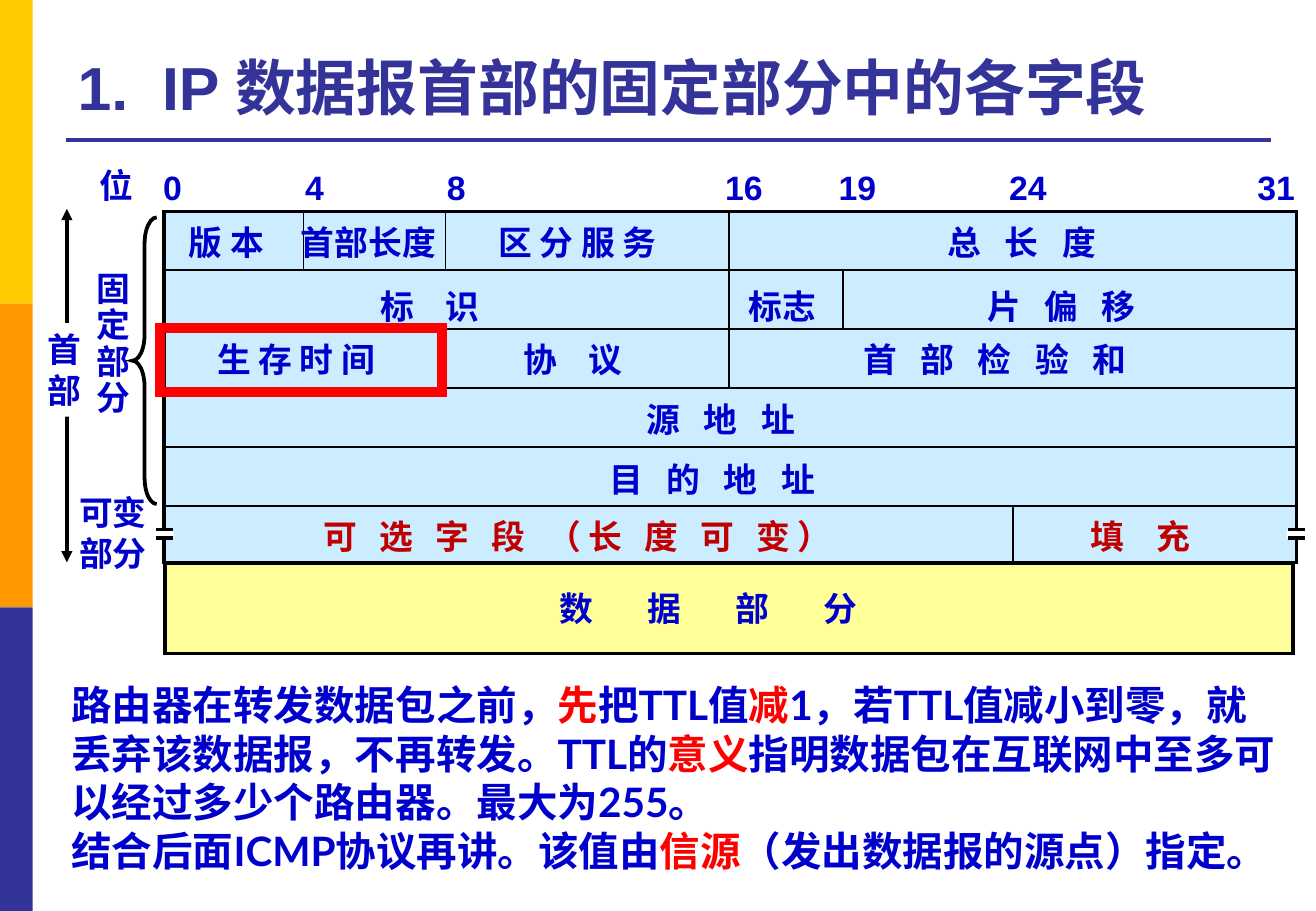
from lxml import etree
from pptx import Presentation
from pptx import util as u
from pptx.dml.color import RGBColor
from pptx.enum import shapes, text
from pptx.oxml import ns

WIDTH, HEIGHT = 10.83, 7.5
BLUE = RGBColor(0x00, 0x00, 0xCC)
NAVY = RGBColor(0x33, 0x33, 0x99)
RED = RGBColor(0xFF, 0x00, 0x00)
DARK_RED = RGBColor(0xC0, 0x00, 0x00)
GOLD = RGBColor(0xFF, 0xCC, 0x00)
ORANGE = RGBColor(0xFF, 0x99, 0x00)
SKY = RGBColor(0xCC, 0xEC, 0xFF)
YELLOW = RGBColor(0xFF, 0xFF, 0x99)
BLACK = RGBColor(0, 0, 0)
WHITE = RGBColor(0xFF, 0xFF, 0xFF)

GRID_LEFT, GRID_TOP, BIT, ROW = 1.33, 1.74, 0.292, 0.485
FLAGS_END = 19.2
LABEL_HEIGHT = 0.43

TITLE = [("1.", NAVY, 0), (" ", NAVY, 10), ("IP 数据报首部的固定部分中的各字段", NAVY, 0)]
SIDEBAR = [GOLD, ORANGE, NAVY]
BITS = [("0", 0), ("4", 4), ("8", 8), ("16", 16), ("19", FLAGS_END), ("24", 24), ("31", 31)]
FIELDS = [
    ("版 本", 0, 0, 4, -0.05, 0, BLUE),
    ("首部长度", 0, 4, 8, -0.05, 0, BLUE),
    ("区 分 服 务", 0, 8, 16, -0.08, 0, BLUE),
    ("总 长 度", 0, 16, 32, 0.07, 4.7, BLUE),
    ("标 识", 1, 0, 16, -0.13, 7.1, BLUE),
    ("标志", 1, 16, FLAGS_END, -0.03, 0, BLUE),
    ("片 偏 移", 1, FLAGS_END, 32, -0.07, 4.7, BLUE),
    ("生 存 时 间", 2, 0, 8, -0.06, 0, BLUE),
    ("协 议", 2, 8, 16, -0.12, 7.1, BLUE),
    ("首 部 检 验 和", 2, 16, 32, -0.15, 4.7, BLUE),
    ("源 地 址", 3, 0, 32, -0.07, 4.7, BLUE),
    ("目 的 地 址", 4, 0, 32, -0.14, 4.7, BLUE),
    ("可 选 字 段 （长 度 可 变）", 5, 0, 24, -0.08, 4.3, DARK_RED),
    ("填 充", 5, 24, 32, -0.12, 7.1, DARK_RED),
]
ROW_DROP = [0.04, 0.08, 0.03, 0.04, 0.05, 0.03]
DIVIDERS = [(4, 0, 1), (8, 0, 1), (8, 2, 3), (16, 0, 3), (FLAGS_END, 1, 2), (24, 5, 6)]
EXPLANATION = [
    [("路由器在转发数据包之前，", BLUE, 0), ("先", RED, 0), ("把TTL值", BLUE, 0),
     ("减", RED, 0), ("1，若TTL值减小到零，就丢弃该数据报，不再转发。TTL的", BLUE, 0),
     ("意义", RED, 0), ("指明数据包在互联网中至多可以经过多少个路由器。最大为255。", BLUE, 0)],
    [("结合后面ICMP协议再讲。该值由", BLUE, 0), ("信源", RED, 0),
     ("（发出数据报的源点）指定。", BLUE, 0)],
]

deck = Presentation()
deck.slide_width, deck.slide_height = u.Inches(WIDTH), u.Inches(HEIGHT)
slide = deck.slides.add_slide(deck.slide_layouts[6])


def bit_x(bit):
    return GRID_LEFT + bit * BIT


def row_y(row):
    return GRID_TOP + row * ROW


def place(*lengths):
    return [u.Inches(length) for length in lengths]


def text_width(words, spacing):
    glyphs = sum(0.08 if letter == " " else 0.28 for letter in words)
    return 0.4 + glyphs + len(words) * spacing / 72


def block(left, top, width, height, fill=None, outline=None, weight=1,
          kind=shapes.MSO_SHAPE.RECTANGLE):
    shape = slide.shapes.add_shape(kind, *place(left, top, width, height))
    shape.shadow.inherit = False
    if fill is None:
        shape.fill.background()
    else:
        shape.fill.solid()
        shape.fill.fore_color.rgb = fill
    if outline is None:
        shape.line.fill.background()
    else:
        shape.line.color.rgb = outline
        shape.line.width = u.Pt(weight)
        etree.SubElement(shape.line._get_or_add_ln(), ns.qn("a:miter"), lim="800000")
    return shape


def rule(x1, y1, x2, y2, weight=1, color=BLACK, arrows=False):
    line = slide.shapes.add_connector(shapes.MSO_CONNECTOR.STRAIGHT, *place(x1, y1, x2, y2))
    line.line.color.rgb = color
    line.line.width = u.Pt(weight)
    if arrows:
        for end in ("a:headEnd", "a:tailEnd"):
            etree.SubElement(line.line._get_or_add_ln(), ns.qn(end), type="triangle")
    etree.SubElement(line._element.spPr, ns.qn("a:effectLst"))


def write(left, top, width, height, paragraphs, size=20, font="Arial", wrap=False,
          align=text.PP_ALIGN.LEFT, anchor=text.MSO_ANCHOR.TOP, leading=None):
    box = slide.shapes.add_textbox(*place(left, top, width, height))
    frame = box.text_frame
    frame.word_wrap = wrap
    frame.vertical_anchor = anchor
    for index, parts in enumerate(paragraphs):
        paragraph = frame.add_paragraph() if index else frame.paragraphs[0]
        paragraph.alignment = align
        if leading:
            paragraph.line_spacing = leading
        for words, color, spacing in parts:
            run = paragraph.add_run()
            run.text = words
            run.font.size, run.font.name, run.font.bold = u.Pt(size), font, True
            run.font.color.rgb = color
            if spacing:
                run._r.get_or_add_rPr().set("spc", str(round(spacing * 100)))
    return box


def label(center, top, width, lines, color=BLUE, spacing=0, height=LABEL_HEIGHT, leading=None):
    return write(center - width / 2, top, width, height,
                 [[(line, color, spacing)] for line in lines],
                 align=text.PP_ALIGN.CENTER, leading=leading)


for index, color in enumerate(SIDEBAR):
    block(0, index * HEIGHT / 3, 0.27, HEIGHT / 3, color)
rule(0.54, 1.15, 10.46, 1.15, 2.25, NAVY)
write(0.54, 0.19, 9.91, 0.87, [TITLE], 36, wrap=True, anchor=text.MSO_ANCHOR.BOTTOM)

block(1.35, GRID_TOP, 9.32, 2.89, SKY, BLACK, 2)
block(1.36, 4.64, 9.28, 0.74, YELLOW, BLACK, 2.25)
for row in range(1, 6):
    rule(bit_x(0), row_y(row), bit_x(32), row_y(row))
for bit, first, last in DIVIDERS:
    rule(bit_x(bit), row_y(first), bit_x(bit), row_y(last))

for digits, bit in BITS:
    label(bit_x(bit) + 0.06 + 0.03 * len(digits), 1.32, 0.21 + 0.15 * len(digits), [digits])
for words, row, first, end, nudge, spacing, color in FIELDS:
    center = (bit_x(first) + bit_x(end)) / 2 + nudge
    label(center, row_y(row) + ROW_DROP[row], text_width(words, spacing), [words], color, spacing)
label(5.83, 4.79, 3.45, ["数 据 部 分"], spacing=13.7)

for left in (1.27, 10.59):
    block(left, 4.36, 0.16, 0.07, WHITE)
    for y in (4.36, 4.43):
        rule(left + 0.01, y, left + 0.15, y, 2)

label(0.96, 1.31, 0.48, ["位"])
label(0.93, 2.19, 0.48, list("固定部分"), height=1.31, leading=0.9)
label(0.93, 4, 0.76, ["可变", "部分"], height=0.77)
rule(0.55, 1.72, 0.55, 4.63, 2.25, arrows=True)
header = label(0.53, 2.66, 0.48, list("首部"), height=0.77)
header.fill.solid()
header.fill.fore_color.rgb = WHITE
brace = block(1.09, 1.79, 0.2, 2.36, outline=BLACK, weight=2.25,
              kind=shapes.MSO_SHAPE.LEFT_BRACE)
brace.adjustments[0] = 1.08

write(0.49, 5.55, 10.17, 1.72, EXPLANATION, 24, "Lato", wrap=True)
block(1.32, 2.7, 2.32, 0.53, outline=RED, weight=6)

deck.save("out.pptx")
